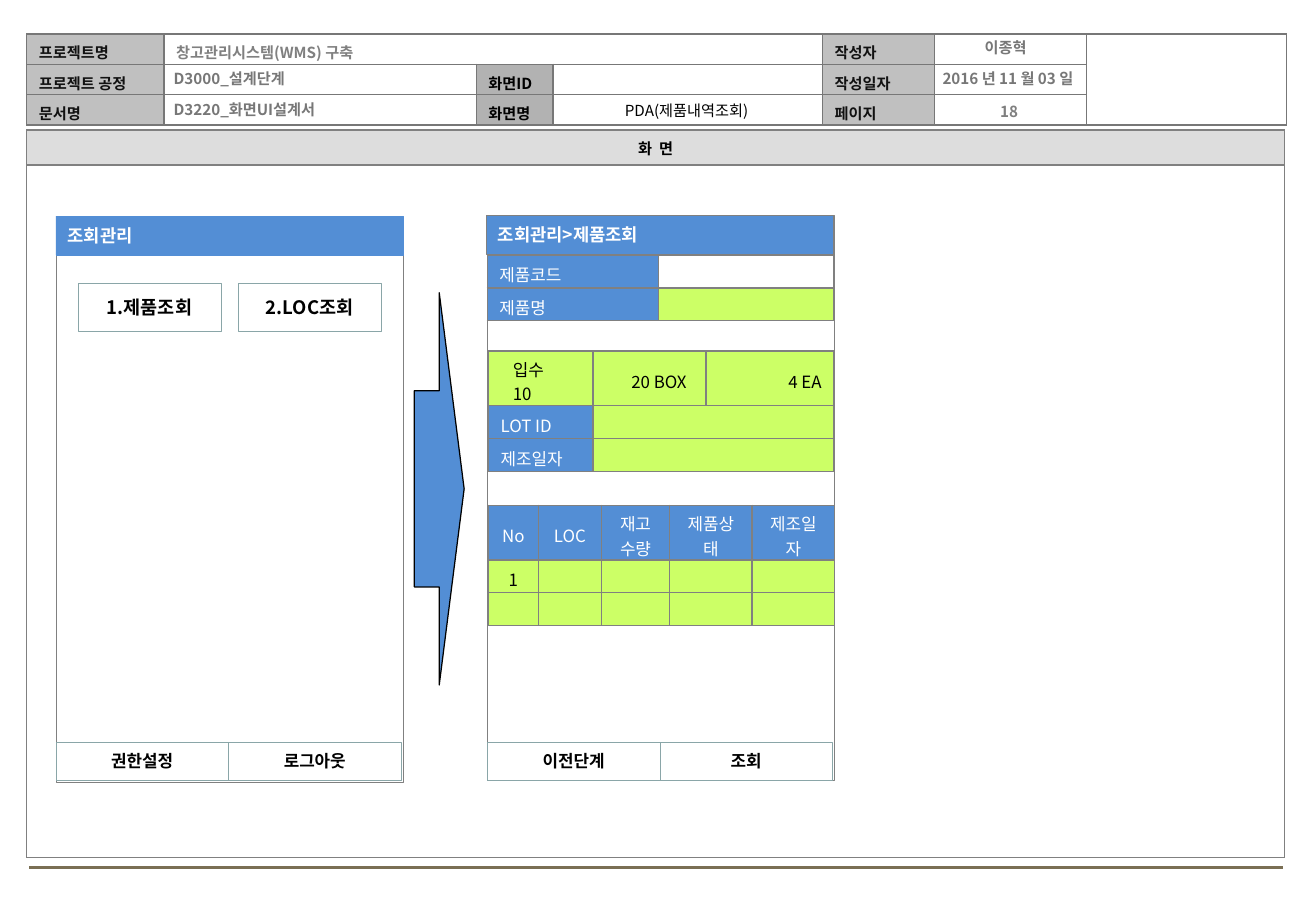
from lxml import etree
from pptx import Presentation
from pptx import util as u
from pptx.dml.color import RGBColor
from pptx.enum import shapes, text
from pptx.oxml import ns

FONT = "Noto Sans CJK KR"
HUES = {
    "black": "000000", "ink": "111111", "white": "FFFFFF", "dim": "777777",
    "grey": "808080", "page": "7F7F7F", "label": "C0C0C0", "dark": "B2B2B2",
    "band": "DDDDDD", "blue": "538ED5", "lime": "CCFF66", "teal": "8AA6A8",
    "rule": "7A6F54",
}
LEFT, MID, RIGHT = text.PP_ALIGN.LEFT, text.PP_ALIGN.CENTER, text.PP_ALIGN.RIGHT


def hue(name):
    return RGBColor.from_string(HUES[name])


def sub(node, tag, **attrs):
    return etree.SubElement(node, ns.qn(tag), **attrs)


class Page:
    def __init__(self, deck):
        self.slide = deck.slides.add_slide(deck.slide_layouts[5])
        self.items = self.slide.shapes

    def label(self, para, words, size, color, bold=False, align=LEFT):
        para.alignment = align
        run = para.add_run()
        run.text = words
        font = run.font
        font.size, font.bold, font.name = u.Pt(size), bold, FONT
        font.color.rgb = hue(color)
        sub(run._r.get_or_add_rPr(), "a:ea", typeface=FONT)

    def frame(self, item, words, size, color, bold, align, anchor):
        body = item.text_frame
        body.word_wrap = True
        body.auto_size = text.MSO_AUTO_SIZE.NONE
        body.vertical_anchor = anchor
        body.margin_left = body.margin_right = u.Inches(0.1)
        body.margin_top = body.margin_bottom = u.Inches(0.05)
        self.label(body.paragraphs[0], words, size, color, bold, align)

    def title(self, box, words):
        item = self.items.title
        item.left, item.top, item.width, item.height = map(u.Inches, box)
        self.frame(item, words, 9, "black", False, MID, text.MSO_ANCHOR.TOP)

    def note(self, box, words, color="dim", align=MID):
        item = self.items.add_textbox(*map(u.Inches, box))
        self.frame(item, words, 9, color, True, align, text.MSO_ANCHOR.TOP)

    def shape(self, box, line, fill=None, words=None, size=10, color="black",
              align=MID, kind=shapes.MSO_SHAPE.RECTANGLE, width=0.25):
        item = self.items.add_shape(kind, *map(u.Inches, box))
        item.shadow.inherit = False
        item.line.color.rgb = hue(line)
        item.line.width = u.Pt(width)
        self.paint(item.fill, fill)
        if words:
            self.frame(item, words, size, color, True, align, text.MSO_ANCHOR.MIDDLE)

    def paint(self, fill, color):
        if color:
            fill.solid()
            fill.fore_color.rgb = hue(color)
        else:
            fill.background()

    def rule(self, x1, y, x2):
        line = self.items.add_connector(
            shapes.MSO_CONNECTOR.STRAIGHT, *map(u.Inches, (x1, y, x2, y)))
        line.line.color.rgb = hue("rule")
        line.line.width = u.Pt(1.75)
        sub(line._element.spPr, "a:effectLst")

    def edge(self, cell, color):
        props = cell._tc.get_or_add_tcPr()
        for spot, side in enumerate("LRTB"):
            line = etree.Element(ns.qn("a:ln" + side), w="12700")
            sub(sub(line, "a:solidFill"), "a:srgbClr", val=HUES[color])
            props.insert(spot, line)

    def table(self, at, cols, rows, cells, spans=(), line="grey", size=10, bold=False):
        """Each cell is (words, fill, colour, alignment); None leaves it blank."""
        box = (*at, sum(cols), sum(rows))
        grid = self.items.add_table(len(rows), len(cols), *map(u.Inches, box)).table
        grid.first_row = grid.horz_banding = False
        for col, wide in zip(grid.columns, cols):
            col.width = u.Inches(wide)
        for row, high in zip(grid.rows, rows):
            row.height = u.Inches(high)
        for r, c, r2, c2 in spans:
            grid.cell(r, c).merge(grid.cell(r2, c2))
        for r, row in enumerate(cells):
            for c, item in enumerate(row):
                words, fill, color, align = item or (None, None, None, LEFT)
                cell = grid.cell(r, c)
                cell.vertical_anchor = text.MSO_ANCHOR.MIDDLE
                cell.margin_left = cell.margin_right = u.Inches(0.1)
                cell.margin_top, cell.margin_bottom = u.Inches(0.05), 0
                self.paint(cell.fill, fill)
                self.edge(cell, line)
                para = cell.text_frame.paragraphs[0]
                if words:
                    self.label(para, words, size, color, bold, align)
                else:
                    sub(para._p, "a:endParaRPr", sz=str(size * 100))
        return grid


def main():
    deck = Presentation()
    deck.slide_width, deck.slide_height = u.Inches(10.83), u.Inches(7.5)
    page = Page(deck)

    # Document header
    def head(words):
        return words, "label", "ink", LEFT

    def dark(words):
        return words, "dark", "black", LEFT

    page.rule(0.24, 7.14, 10.56)
    name = ("창고관리시스템(WMS) 구축", None, "grey", LEFT)
    page.table(
        (0.22, 0.28), [1.13, 2.57, 0.63, 2.22, 0.92, 1.25, 1.65], [0.25] * 3,
        [[head("프로젝트명"), name, None, None, head("작성자"), None, None],
         [head("프로젝트 공정"), None, dark("화면ID"), None, head("작성일자"), None, None],
         [head("문서명"), None, dark("화면명"), None, head("페이지"), None, None]],
        [(0, 1, 0, 3), (0, 6, 2, 6)], "dim", 9, True)
    page.note((1.33, 0.52, 5.42, 0.25), "D3000_설계단계", align=LEFT)
    page.note((1.33, 0.78, 5.41, 0.25), "D3220_화면UI설계서", align=LEFT)
    page.note((7.68, 0.79, 1.25, 0.25), "18", "page")
    page.note((7.51, 0.52, 1.57, 0.25), "2016 년 11 월 03 일")
    page.note((7.49, 0.27, 1.57, 0.25), "이종혁")
    page.title((4.56, 0.78, 2.18, 0.25), "PDA(제품내역조회)")

    # Screen area
    area = page.table((0.22, 1.07), [10.35], [0.29, 5.7],
                      [[("화 면", "band", "black", MID)], [None]], size=9, bold=True)
    band = area.cell(0, 0)
    band.margin_top = 0
    band.text_frame.paragraphs[0].runs[0]._r.get_or_add_rPr().set("spc", "100")

    # Menu screen
    page.shape((0.46, 1.79, 2.86, 4.65), "grey")
    page.shape((0.46, 1.78, 2.86, 0.32), "blue", "blue", "조회관리", 10.5, "white", LEFT)
    for left, words in ((0.64, "1.제품조회"), (1.96, "2.LOC조회")):
        page.shape((left, 2.33, 1.18, 0.4), "teal", None, words, 11)

    # Product screen
    page.shape((4.01, 1.77, 2.86, 4.65), "grey")
    page.shape((4, 1.77, 2.86, 0.32), "grey", "blue", "조회관리>제품조회", 10.5, "white", LEFT)

    # Bottom buttons of both screens
    for left, pair in ((0.46, ("권한설정", "로그아웃")), (4.01, ("이전단계", "조회"))):
        for n, words in enumerate(pair):
            page.shape((left + 1.42 * n, 6.11, 1.42, 0.31), "teal", None, words)

    # Product fields
    def blue(words, align=LEFT):
        return words, "blue", "white", align

    def lime(words=None, align=RIGHT):
        return words, "lime", "black", align

    page.table((4.01, 2.1), [1.41, 1.44], [0.27] * 2,
               [[blue("제품코드"), None], [blue("제품명"), lime()]])
    lot = page.table(
        (4.02, 2.89), [0.86, 0.93, 1.05], [0.27] * 3,
        [[lime("입수\t10", LEFT), lime("20 BOX"), lime("4 EA")],
         [blue("LOT ID"), lime(), lime()],
         [blue("제조일자"), lime(), lime()]],
        [(1, 1, 1, 2), (2, 1, 2, 2)])
    pack = lot.cell(0, 0)
    pack.margin_left = u.Inches(0.2)
    tabs = sub(pack.text_frame.paragraphs[0]._p.get_or_add_pPr(), "a:tabLst")
    sub(tabs, "a:tab", pos=str(u.Inches(0.41)), algn="l")
    lot.cell(0, 1).margin_right = u.Inches(0.16)

    # Stock list
    heads = ["No", "LOC", "재고수량", "제품상태", "제조일자"]
    page.table((4.02, 4.16), [0.41, 0.52, 0.56, 0.68, 0.68], [0.43, 0.27, 0.27],
               [[blue(words, MID) for words in heads],
                [lime("1", MID)] + [lime()] * 4, [lime()] * 5])

    # Step arrow
    page.shape((3.41, 2.41, 0.41, 3.23), "black", "blue",
               kind=shapes.MSO_SHAPE.RIGHT_ARROW, width=0.75)
    deck.save("out.pptx")


if __name__ == "__main__":
    main()
